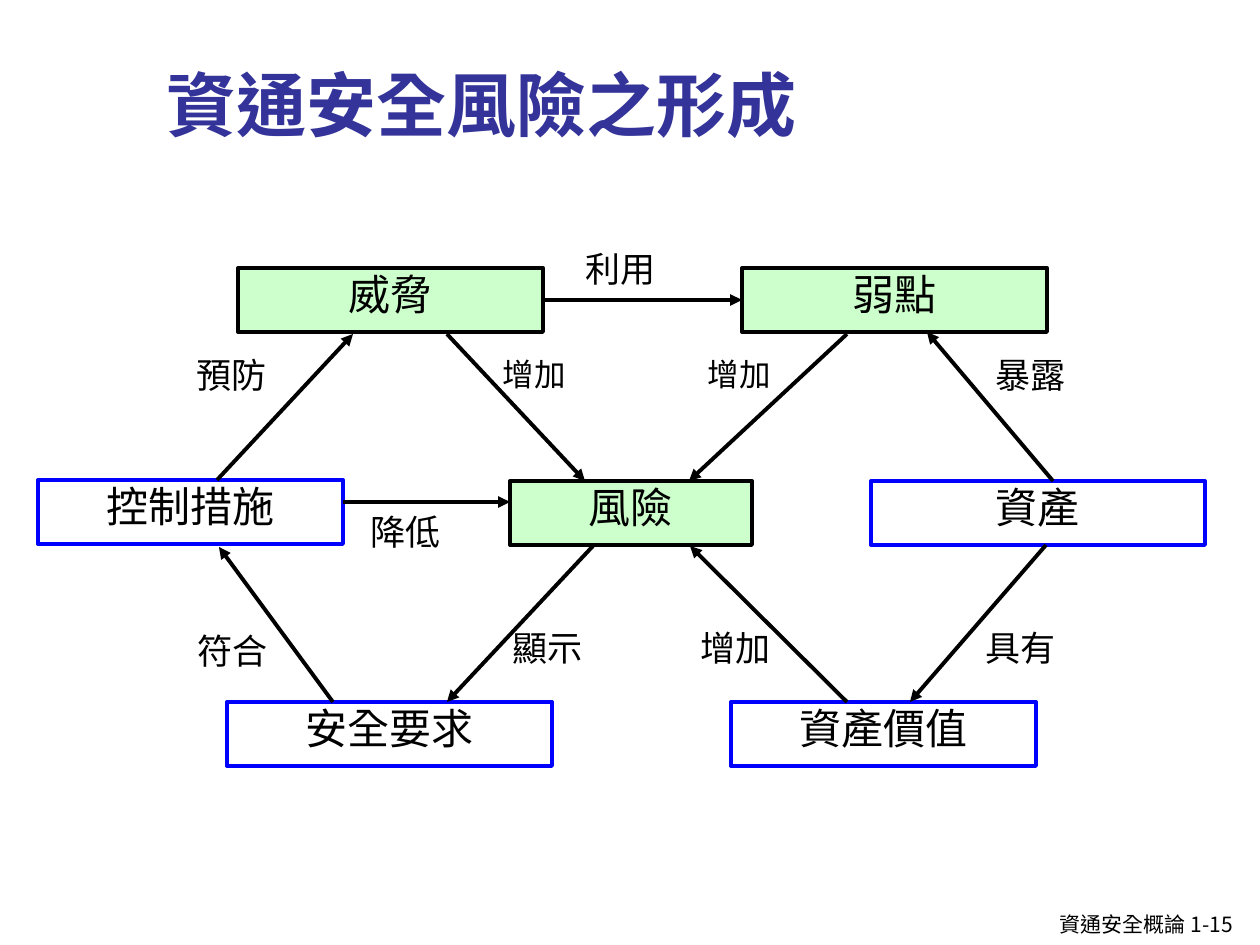
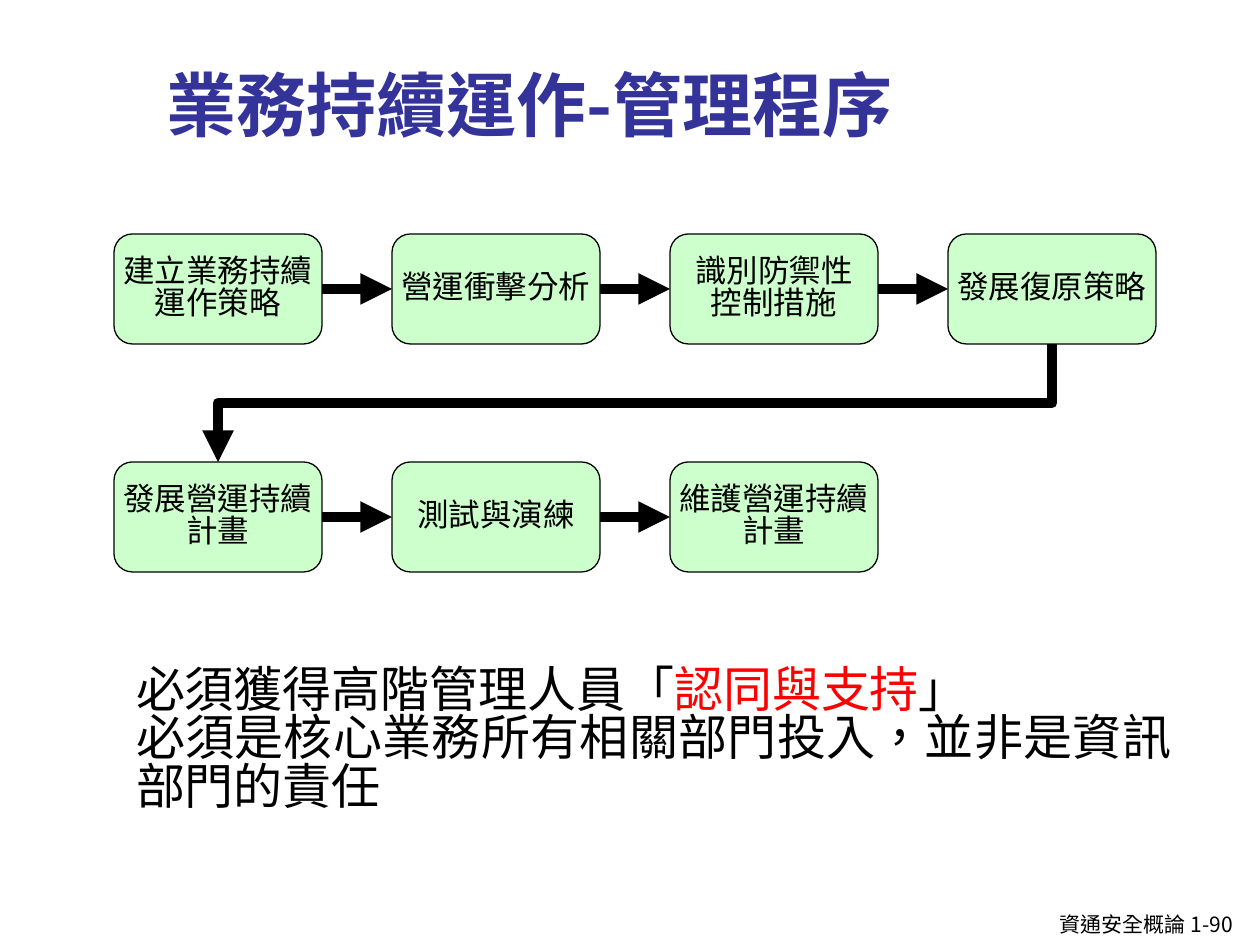
from dataclasses import dataclass
from itertools import pairwise

from lxml.etree import SubElement
from pptx import Presentation
from pptx.dml.color import RGBColor
from pptx.enum.shapes import MSO_CONNECTOR as Link, MSO_SHAPE as Preset
from pptx.enum.text import MSO_ANCHOR as Anchor, MSO_AUTO_SIZE as AutoSize, PP_ALIGN as Align
from pptx.oxml.ns import qn
from pptx.util import Emu, Pt

TOP, LEFT, BOTTOM, RIGHT = range(4)


@dataclass(frozen=True)
class Theme:
    black: str = "000000"
    white: str = "FFFFFF"
    title: str = "333399"
    mint: str = "CCFFCC"
    blue: str = "0000FF"
    red: str = "FF0000"
    title_font: str = "Noto Sans CJK TC"
    body_font: str = "Noto Sans CJK SC"
    title_size: int = 40
    note_size: int = 28
    node_size: int = 24
    label_size: int = 20
    small_size: int = 18
    footer_size: int = 12
    line_spacing: float = 0.83
    thin: float = 0.75
    medium: float = 2.25
    thick: float = 6


THEME = Theme()
NODE_HEIGHT = 64
STEP_WIDTH, STEP_HEIGHT, STEP_PITCH = 208, 110, 278
INSETS = (13, 9, 13, 6)


def px(length):
    return Emu(round(length * 914400 / 126))


def assign(target, **formats):
    for name, value in formats.items():
        setattr(target, name, value)


def add_span(para, text, size, color, face=THEME.body_font, bold=False):
    span = para.add_run()
    span.text = text
    assign(span.font, size=Pt(size), name=face, bold=bold)
    span.font.color.rgb = RGBColor.from_string(color)
    properties = span.font._element
    properties.set("lang", "zh-TW")
    SubElement(properties, qn("a:ea")).set("typeface", face)


def write(frame, paragraphs, size, align=Align.LEFT, anchor=Anchor.TOP, insets=INSETS):
    left, top, right, bottom = map(px, insets)
    assign(frame, word_wrap=True, auto_size=AutoSize.NONE, vertical_anchor=anchor,
           margin_left=left, margin_top=top, margin_right=right, margin_bottom=bottom)
    for index, spans in enumerate(paragraphs):
        para = frame.add_paragraph() if index else frame.paragraphs[0]
        assign(para, alignment=align, line_spacing=THEME.line_spacing)
        for text, color in spans:
            add_span(para, text, size, color)


def plain(*lines):
    return [[(line, THEME.black)] for line in lines]


def add_text(page, area, paragraphs, size, align=Align.LEFT):
    box = page.shapes.add_textbox(*map(px, area))
    write(box.text_frame, paragraphs, size, align)


def add_label(page, text, left, top, size=THEME.label_size):
    add_text(page, (left, top, 100, 54), plain(text), size)


def add_panel(page, preset, area, fill, line, weight):
    panel = page.shapes.add_shape(preset, *map(px, area))
    panel.shadow.inherit = False
    panel.fill.solid()
    panel.fill.fore_color.rgb = RGBColor.from_string(fill)
    panel.line.color.rgb = RGBColor.from_string(line)
    panel.line.width = Pt(weight)
    return panel


def add_node(page, text, left, top, width, fill, line):
    node = add_panel(page, Preset.RECTANGLE, (left, top, width, NODE_HEIGHT),
                     fill, line, THEME.medium)
    write(node.text_frame, plain(text), THEME.node_size, Align.CENTER)
    return node


def add_step(page, lines, column, row):
    area = (114 + STEP_PITCH * column, 234 + 228 * row, STEP_WIDTH, STEP_HEIGHT)
    step = add_panel(page, Preset.ROUNDED_RECTANGLE, area, THEME.mint, THEME.black, THEME.thin)
    write(step.text_frame, plain(*lines), THEME.small_size, Align.CENTER,
          Anchor.MIDDLE, (0, 0, 0, 0))
    return step


def add_arrow(page, points=(0, 0, 0, 0), weight=THEME.medium, kind=Link.STRAIGHT):
    arrow = page.shapes.add_connector(kind, *map(px, points))
    arrow.line.color.rgb = RGBColor.from_string(THEME.black)
    arrow.line.width = Pt(weight)
    SubElement(arrow.line._get_or_add_ln(), qn("a:tailEnd")).set("type", "triangle")
    SubElement(arrow._element.spPr, qn("a:effectLst"))
    return arrow


def join(arrow, source, source_side, target, target_side):
    arrow.begin_connect(source, source_side)
    arrow.end_connect(target, target_side)


def add_row_turn(page, source, target):
    turn = add_arrow(page, weight=THEME.thick, kind=Link.ELBOW)
    join(turn, source, BOTTOM, target, TOP)
    left, top, span, drop = turn.left, turn.top, turn.width, turn.height
    assign(turn._element.spPr.find(qn("a:xfrm")), flipH=False, flipV=False)
    assign(turn, left=left + (span - drop) // 2, top=top + (drop - span) // 2,
           width=drop, height=span, rotation=90)


def start_page(deck, title, number):
    page = deck.slides.add_slide(deck.slide_layouts[5])
    heading = page.shapes.title
    assign(heading, left=px(154), top=px(16), width=px(1028), height=px(129))
    write(heading.text_frame, [[]], THEME.title_size, anchor=Anchor.BOTTOM, insets=(13, 6, 13, 0))
    add_span(heading.text_frame.paragraphs[0], title, THEME.title_size, THEME.title,
             THEME.title_font, True)
    add_text(page, (1047, 907, 213, 38), plain(f"資通安全概論 1-{number}"), THEME.footer_size)
    return page


def build_risk_page(deck):
    page = start_page(deck, "資通安全風險之形成", 15)
    risk_style = (THEME.mint, THEME.black)
    asset_style = (THEME.white, THEME.blue)
    threat = add_node(page, "威脅", 238, 268, 305, *risk_style)
    weakness = add_node(page, "弱點", 742, 268, 305, *risk_style)
    for text, left, top, width, style in (
        ("風險", 510, 481, 242, risk_style),
        ("資產價值", 731, 702, 305, asset_style),
        ("安全要求", 227, 702, 325, asset_style),
        ("資產", 871, 481, 334, asset_style),
        ("控制措施", 38, 480, 305, asset_style),
    ):
        add_node(page, text, left, top, width, *style)

    join(add_arrow(page), threat, RIGHT, weakness, LEFT)
    for points in (
        (333, 702, 219, 547), (217, 480, 353, 334), (1053, 481, 927, 332),
        (1046, 545, 910, 702), (847, 702, 690, 546), (447, 334, 585, 481),
        (847, 334, 689, 481), (593, 546, 447, 702), (343, 502, 510, 502),
    ):
        add_arrow(page, points)

    for text, left, top in (
        ("利用", 573, 246), ("預防", 184, 352), ("符合", 185, 628), ("降低", 358, 509),
        ("暴露", 983, 352), ("具有", 973, 625), ("顯示", 500, 625), ("增加", 688, 625),
    ):
        add_label(page, text, left, top)
    for left in (490, 695):
        add_label(page, "增加", left, 352, THEME.small_size)


def build_continuity_page(deck):
    page = start_page(deck, "業務持續運作-管理程序", 90)
    rows = (
        (["建立業務持續運作策略"], ["營運衝擊分析"], ["識別防禦性", "控制措施"], ["發展復原策略"]),
        (["發展營運持續計畫"], ["測試與演練"], ["維護營運持續計畫"]),
    )
    steps = [[add_step(page, lines, column, row) for column, lines in enumerate(texts)]
             for row, texts in enumerate(rows)]
    for row in steps:
        for source, target in pairwise(row):
            join(add_arrow(page, weight=THEME.thick), source, RIGHT, target, LEFT)
    add_row_turn(page, steps[0][-1], steps[1][0])

    support = [("必須獲得高階管理人員「", THEME.black), ("認同與支持", THEME.red),
               ("」", THEME.black)]
    duty = plain("必須是核心業務所有相關部門投入，並非是資訊部門的責任")
    add_text(page, (123, 659, 1062, 190), [support, *duty], THEME.note_size, Align.JUSTIFY)


def main():
    deck = Presentation()
    assign(deck, slide_width=px(1260), slide_height=px(945))
    build_risk_page(deck)
    build_continuity_page(deck)
    deck.save("out.pptx")


if __name__ == "__main__":
    main()
